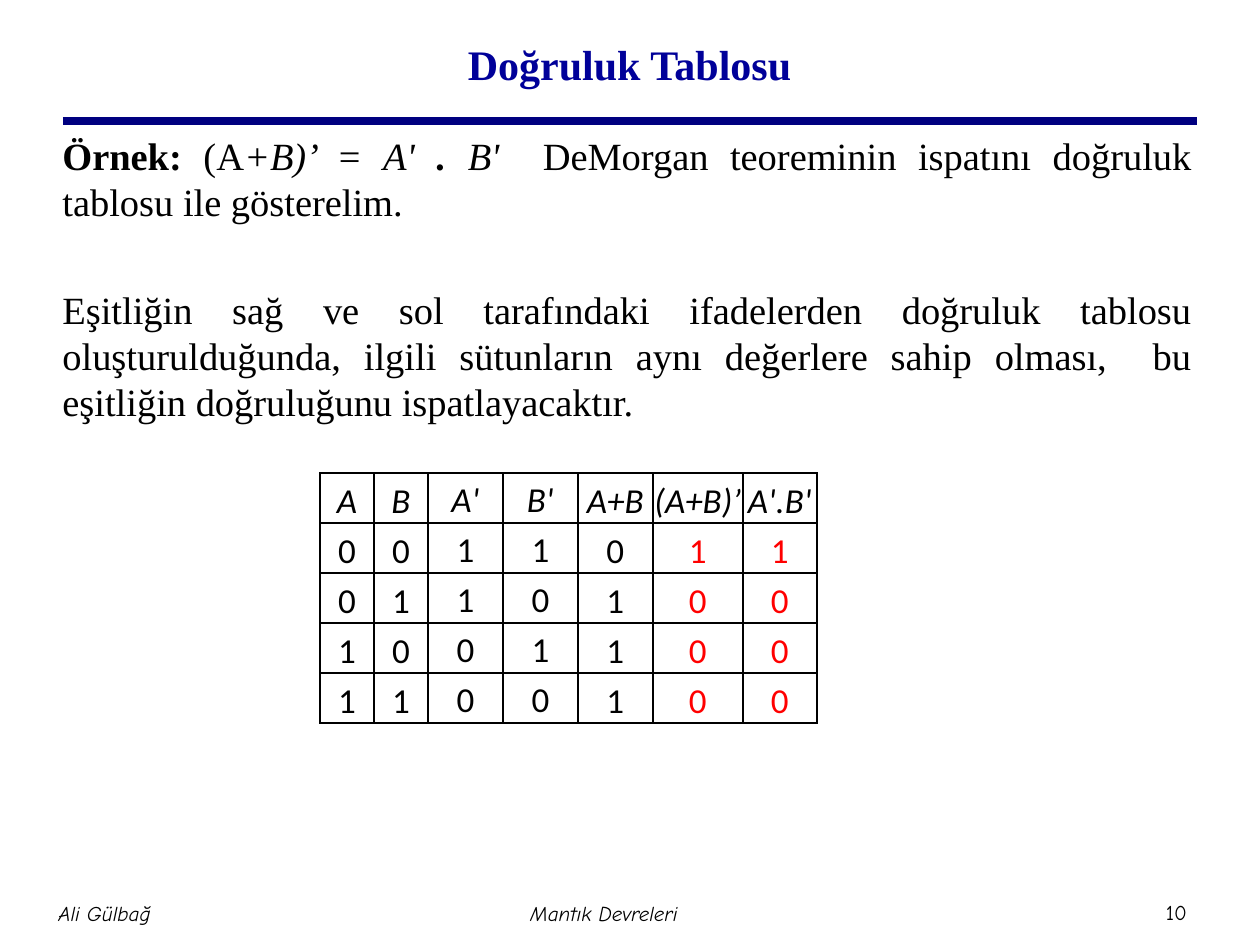
from lxml.etree import SubElement
from pptx import Presentation
from pptx.dml.color import RGBColor
from pptx.enum.shapes import MSO_CONNECTOR
from pptx.enum.text import MSO_ANCHOR, PP_ALIGN
from pptx.oxml.ns import qn
from pptx.util import Emu, Pt

PX = 914400 // 126
SERIF, SANS, COMIC = "Times New Roman", "Calibri", "Comic Neue"
BLACK, NAVY, BLUE, RED = "000000", "000080", "000099", "FF0000"

TITLE = "Doğruluk Tablosu"
BODY = [
    [("Örnek:", {"bold": True}), (" (A", {}),
     ("+B)’ = A' ", {"italic": True}),
     (".", {"bold": True, "italic": True}),
     (" B'  ", {"italic": True}),
     ("DeMorgan teoreminin ispatını doğruluk tablosu ile gösterelim.", {})],
    [("Eşitliğin sağ ve sol tarafındaki ifadelerden doğruluk tablosu "
      "oluşturulduğunda, ilgili sütunların aynı değerlere sahip olması,  "
      "bu eşitliğin doğruluğunu ispatlayacaktır.", {})],
]
HEADS = ["A", "B", "A'", "B'", "A+B", "(A+B)’", "A'.B'"]
TRUTH = ["0011011", "0110100", "1001100", "1100100"]
WIDTHS = [54, 54, 75, 75, 75, 90, 74]
FOOT = [
    ("Ali Gülbağ", (-121, 882, 451, 63), True),
    ("Mantık Devreleri ", (382, 882, 451, 63), True),
    ("10", (1147, 893, 59, 38), False),
]


def px(*vals):
    return [Emu(v * PX) for v in vals]


def color(code):
    return RGBColor.from_string(code)


def write(para, runs, align=PP_ALIGN.CENTER, hue=BLACK, **base):
    para.alignment = align
    for text, extra in runs:
        run = para.add_run()
        run.text = text
        run.font.color.rgb = color(hue)
        for key, val in {"bold": False, "italic": False, **base, **extra}.items():
            setattr(run.font, key, val)


def inset(obj, *sides):
    for side, val in zip(("left", "top", "right", "bottom"), px(*sides)):
        setattr(obj, f"margin_{side}", val)


def border(cell, **sides):
    """Draw cell borders; each side (L, R, T, B) gives its width in points."""
    props = cell._tc.get_or_add_tcPr()
    for spot, (side, wide) in enumerate(sides.items()):
        line = SubElement(props, qn(f"a:ln{side}"), w=str(Pt(wide)))
        fill = SubElement(line, qn("a:solidFill"))
        SubElement(fill, qn("a:srgbClr"), val=BLACK)
        props.insert(spot, line)


def add_rule(slide):
    rule = slide.shapes.add_connector(MSO_CONNECTOR.STRAIGHT, *px(63, 121, 1197, 121))
    rule.line.color.rgb = color(NAVY)
    rule.line.width = Pt(4.5)
    SubElement(rule._element.spPr, qn("a:effectLst"))


def add_title(slide):
    title = slide.shapes.title
    title.left, title.top, title.width, title.height = px(94, 10, 1071, 108)
    title.text_frame.vertical_anchor = MSO_ANCHOR.MIDDLE
    write(title.text_frame.paragraphs[0], [(TITLE, {})], hue=BLUE,
          name=SERIF, size=Pt(24), bold=True)


def add_body(slide):
    frame = slide.shapes.add_textbox(*px(50, 126, 1154, 699)).text_frame
    frame.word_wrap = True
    for num, runs in enumerate(BODY):
        para = frame.add_paragraph() if num else frame.paragraphs[0]
        if num:
            para.space_before = Pt(35)
        write(para, runs, PP_ALIGN.JUSTIFY, name=SERIF, size=Pt(22))


def add_truth(slide):
    rows = [HEADS, *TRUTH]
    high = 50
    table = slide.shapes.add_table(
        len(rows), len(HEADS),
        *px(320, 473, sum(WIDTHS), high * len(rows))).table
    for col, wide in zip(table.columns, WIDTHS):
        col.width = Emu(wide * PX)
    for r, row in enumerate(rows):
        table.rows[r].height = Emu(high * PX)
        for c, text in enumerate(row):
            cell = table.cell(r, c)
            inset(cell, *((0, 0, 0, 0) if c in (2, 3) else (1, 1, 1, 0)))
            cell.fill.background()
            para = cell.text_frame.paragraphs[0]
            para.line_spacing = 1.15
            write(para, [(text, {})], hue=RED if r and c > 4 else BLACK,
                  name=SANS, size=Pt(20), italic=r == 0)
            border(cell, L=1.5 if c == 2 else 1, R=1.5 if c == 1 else 1,
                   T=1.5 if r == 1 else 1, B=1.5 if r == 0 else 1)


def add_foot(slide):
    for text, place, slant in FOOT:
        frame = slide.shapes.add_textbox(*px(*place)).text_frame
        frame.word_wrap = True
        frame.vertical_anchor = MSO_ANCHOR.MIDDLE
        inset(frame, 6, 6, 6, 6)
        write(frame.paragraphs[0], [(text, {})], name=COMIC, size=Pt(12), italic=slant)


def main():
    deck = Presentation()
    deck.slide_width, deck.slide_height = px(1260, 945)
    slide = deck.slides.add_slide(deck.slide_layouts[5])
    for build in (add_rule, add_title, add_body, add_truth, add_foot):
        build(slide)
    deck.save("out.pptx")


if __name__ == "__main__":
    main()
